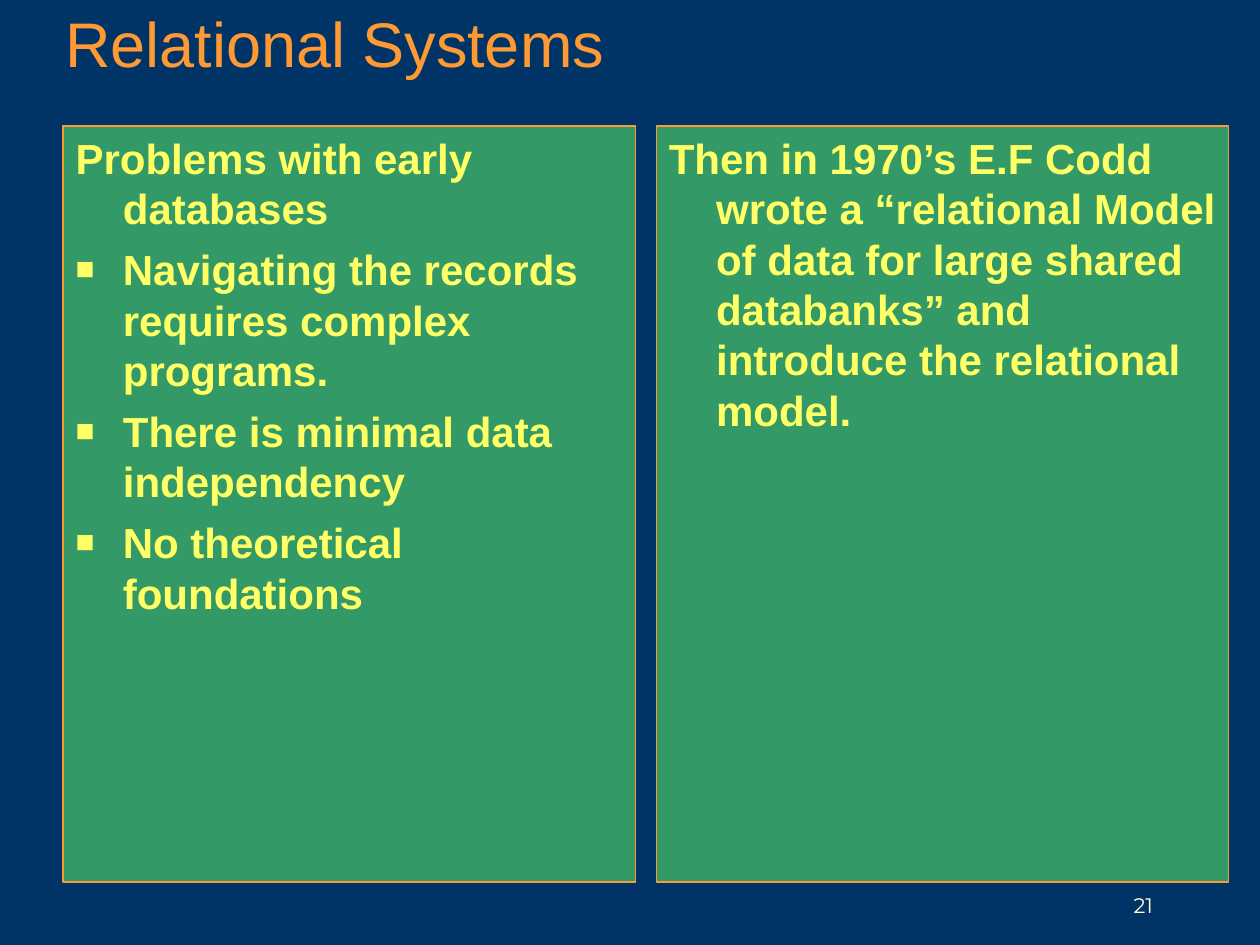
from dataclasses import dataclass

from lxml.etree import SubElement
from pptx import Presentation
from pptx.dml.color import RGBColor
from pptx.enum.text import MSO_ANCHOR, MSO_AUTO_SIZE, PP_ALIGN
from pptx.oxml.ns import qn
from pptx.util import Pt

NAVY = RGBColor(0x00, 0x33, 0x66)
GREEN = RGBColor(0x33, 0x99, 0x66)
ORANGE = RGBColor(0xFF, 0x99, 0x33)
YELLOW = RGBColor(0xFF, 0xFF, 0x66)
CREAM = RGBColor(0xFF, 0xFF, 0xCC)

PANEL_TOP, PANEL_WIDTH, PANEL_HEIGHT = 72, 327, 432
HANGING_INDENT = 27


@dataclass(frozen=True)
class Panel:
    placeholder: int
    left: float
    heading: str
    points: tuple[str, ...] = ()


PANELS = (
    Panel(1, 36, "Problems with early databases", (
        "Navigating the records requires complex programs.",
        "There is minimal data independency",
        "No theoretical foundations",
    )),
    Panel(2, 375, "Then in 1970’s E.F Codd wrote a “relational Model of data for "
                  "large shared databanks” and introduce the relational model."),
)


def place(shape, left: float, top: float, width: float, height: float) -> None:
    shape.left, shape.top = Pt(left), Pt(top)
    shape.width, shape.height = Pt(width), Pt(height)


def prepare_frame(frame, anchor: MSO_ANCHOR) -> None:
    frame.word_wrap = True
    frame.auto_size = MSO_AUTO_SIZE.NONE
    frame.vertical_anchor = anchor


def write(paragraph, text: str, *, size: float, color: RGBColor,
          font: str = "Arial", bold: bool = False,
          align: PP_ALIGN = PP_ALIGN.LEFT) -> None:
    paragraph.text = text
    paragraph.alignment = align
    paragraph.space_before = Pt(0)
    style = paragraph.runs[0].font
    style.name, style.size, style.bold = font, Pt(size), bold
    style.color.rgb = color


def set_hanging_indent(paragraph, bulleted: bool) -> None:
    properties = paragraph._p.get_or_add_pPr()
    properties.set("marL", str(Pt(HANGING_INDENT)))
    properties.set("indent", str(-Pt(HANGING_INDENT)))
    if not bulleted:
        SubElement(properties, qn("a:buNone"))
        return
    bullet_color = SubElement(properties, qn("a:buClr"))
    SubElement(bullet_color, qn("a:srgbClr"), val=str(YELLOW))
    SubElement(properties, qn("a:buSzPct"), val="75000")
    SubElement(properties, qn("a:buFont"), typeface="Arial")
    SubElement(properties, qn("a:buChar"), char="■")


def draw_panel(slide, panel: Panel) -> None:
    body = slide.placeholders[panel.placeholder]
    place(body, panel.left, PANEL_TOP, PANEL_WIDTH, PANEL_HEIGHT)
    body.fill.solid()
    body.fill.fore_color.rgb = GREEN
    body.line.color.rgb = ORANGE
    body.line.width = Pt(0.75)
    frame = body.text_frame
    prepare_frame(frame, MSO_ANCHOR.TOP)
    for index, text in enumerate((panel.heading, *panel.points)):
        paragraph = frame.add_paragraph() if index else frame.paragraphs[0]
        set_hanging_indent(paragraph, bulleted=index > 0)
        write(paragraph, text, size=24, color=YELLOW, bold=True)
        paragraph.line_spacing = Pt(28.8)
        if index:
            paragraph.space_before = Pt(6)


def main() -> None:
    presentation = Presentation()
    presentation.slide_width, presentation.slide_height = Pt(720), Pt(540)
    slide = presentation.slides.add_slide(
        presentation.slide_layouts.get_by_name("Two Content"))
    slide.background.fill.solid()
    slide.background.fill.fore_color.rgb = NAVY

    title = slide.shapes.title
    place(title, 30, -18, 672, 84)
    prepare_frame(title.text_frame, MSO_ANCHOR.MIDDLE)
    write(title.text_frame.paragraphs[0], "Relational Systems", size=36, color=ORANGE)

    for panel in PANELS:
        draw_panel(slide, panel)

    page_number = slide.shapes.add_textbox(Pt(516), Pt(492), Pt(150), Pt(36))
    prepare_frame(page_number.text_frame, MSO_ANCHOR.BOTTOM)
    write(page_number.text_frame.paragraphs[0], "21", size=12, color=CREAM,
          font="Montserrat", align=PP_ALIGN.RIGHT)

    presentation.save("out.pptx")


if __name__ == "__main__":
    main()
